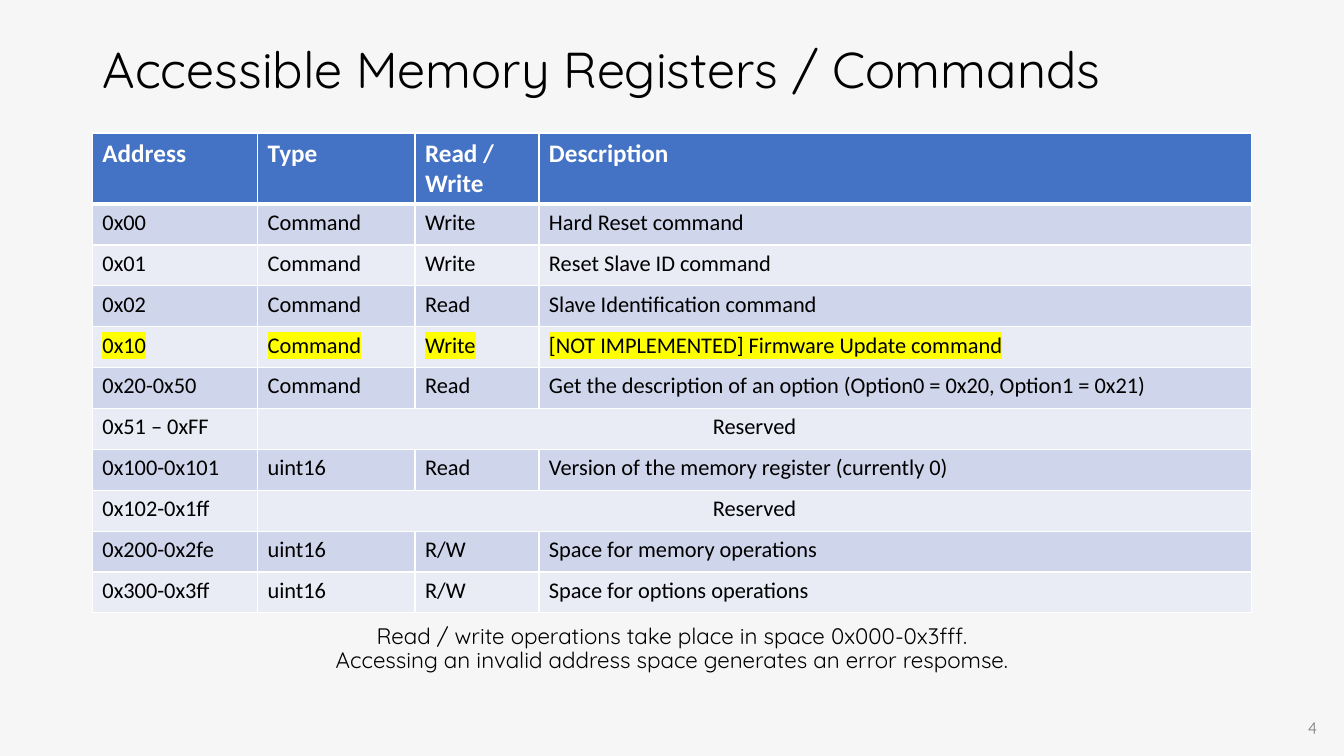
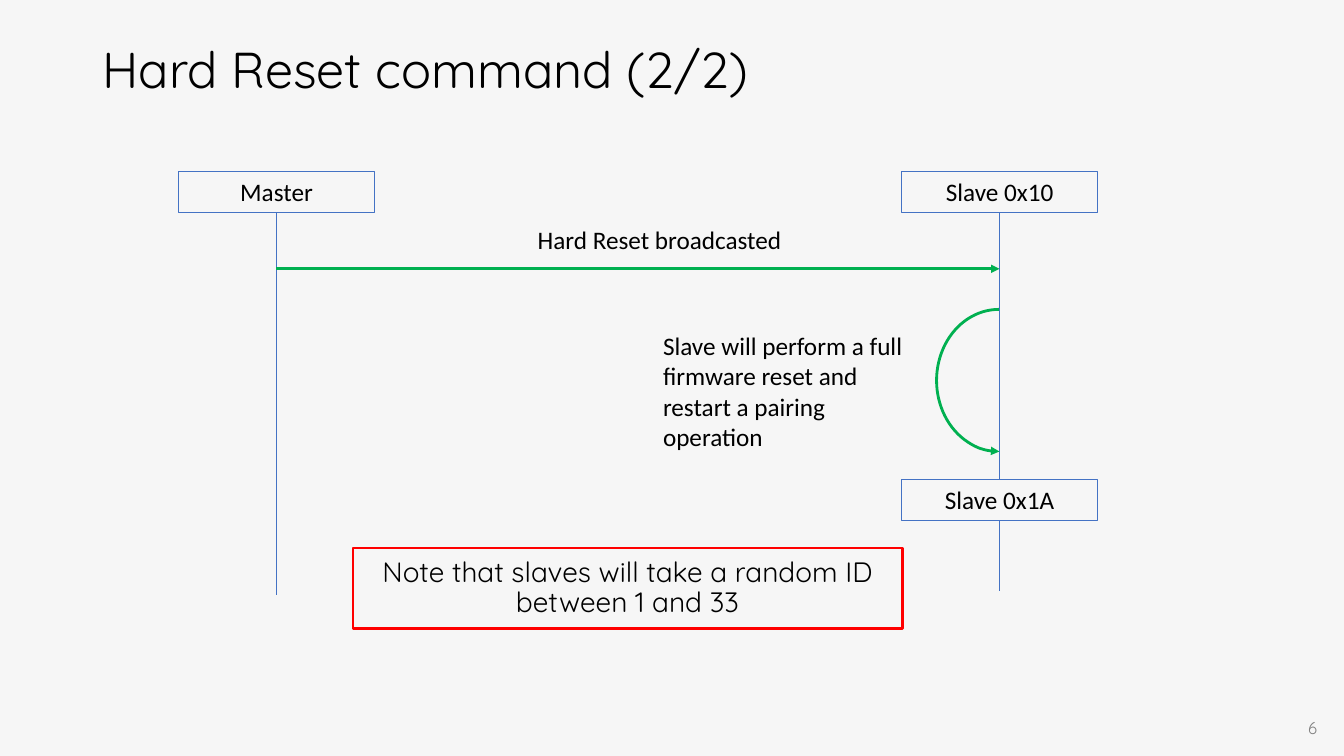
from typing import NamedTuple

from lxml import etree
from pptx import Presentation
from pptx.dml.color import RGBColor
from pptx.enum import shapes, text
from pptx.oxml import ns
from pptx.util import Pt

# Shared colours and fonts
PAPER, BLACK, WHITE, GREY = "F6F6F6", "000000", "FFFFFF", "808080"
BLUE, GREEN, RED, YELLOW = "4472C4", "00B050", "FF0000", "FFFF00"
BANDS = ("E9EBF5", "CFD5EA")
BODY, DISPLAY = "Calibri", "Quicksand"
LEFT, CENTER, RIGHT = text.PP_ALIGN.LEFT, text.PP_ALIGN.CENTER, text.PP_ALIGN.RIGHT
TOP, MIDDLE, BOTTOM = text.MSO_ANCHOR.TOP, text.MSO_ANCHOR.MIDDLE, text.MSO_ANCHOR.BOTTOM
MARGIN, CONTENT_W = 66, 828


class Box(NamedTuple):
    x: float
    y: float
    w: float
    h: float

    def pts(self):
        return [Pt(v) for v in self]


class Register(NamedTuple):
    address: str
    kind: str
    access: str = ""
    description: str = ""
    marked: bool = False


REGISTERS = [
    Register("0x00", "Command", "Write", "Hard Reset command"),
    Register("0x01", "Command", "Write", "Reset Slave ID command"),
    Register("0x02", "Command", "Read", "Slave Identification command"),
    Register("0x10", "Command", "Write", "[NOT IMPLEMENTED] Firmware Update command", True),
    Register("0x20-0x50", "Command", "Read",
             "Get the description of an option (Option0 = 0x20, Option1 = 0x21)"),
    Register("0x51 – 0xFF", "Reserved"),
    Register("0x100-0x101", "uint16", "Read", "Version of the memory register (currently 0)"),
    Register("0x102-0x1ff", "Reserved"),
    Register("0x200-0x2fe", "uint16", "R/W", "Space for memory operations"),
    Register("0x300-0x3ff", "uint16", "R/W", "Space for options operations"),
]


def rgb(color: str) -> RGBColor:
    return RGBColor.from_string(color)


def sub(parent, tag: str, **attrs):
    return etree.SubElement(parent, ns.qn(tag), attrs)


def write(tf, words: str, *, size=18, font=BODY, color=BLACK, bold=False, align=LEFT,
          anchor=TOP, spacing=None, wrap=True, mark=None):
    """Fill a text frame with one paragraph; a newline is a line break."""
    tf.word_wrap = wrap
    tf.vertical_anchor = anchor
    p = tf.paragraphs[0]
    p.alignment = align
    if spacing:
        p.line_spacing = spacing
    for i, line in enumerate(words.split("\n")):
        if i:
            p.add_line_break()
        r = p.add_run()
        r.text = line
        r.font.size, r.font.name, r.font.bold = Pt(size), font, bold
        r.font.color.rgb = rgb(color)
        if mark:
            highlight = etree.Element(ns.qn("a:highlight"))
            sub(highlight, "a:srgbClr", val=mark)
            r.font._element.find(ns.qn("a:solidFill")).addnext(highlight)


def add_text(s, box: Box, words: str, **fmt):
    write(s.shapes.add_textbox(*box.pts()).text_frame, words, **fmt)


def stroke(line, color: str, width: float, arrow=False):
    line.color.rgb = rgb(color)
    line.width = Pt(width)
    if arrow:
        sub(line._get_or_add_ln(), "a:tailEnd", type="triangle")


def add_outline(s, preset, box: Box, color: str, width: float, arrow=False):
    sp = s.shapes.add_shape(preset, *box.pts())
    sp.shadow.inherit = False
    sp.fill.background()
    stroke(sp.line, color, width, arrow)
    return sp


def add_line(s, x1, y1, x2, y2, color=BLUE, width=0.5, arrow=False):
    line = s.shapes.add_connector(shapes.MSO_CONNECTOR.STRAIGHT, Pt(x1), Pt(y1), Pt(x2), Pt(y2))
    stroke(line.line, color, width, arrow)
    sub(line._element.spPr, "a:effectLst")
    return line


def add_slide(prs, title: str, number: int):
    s = prs.slides.add_slide(prs.slide_layouts[5])
    sp = s.shapes.title
    sp.left, sp.top, sp.width, sp.height = Box(MARGIN, 28.8, CONTENT_W, 87.8).pts()
    write(sp.text_frame, title, size=36, font=DISPLAY, spacing=0.9)
    sp.text_frame.auto_size = text.MSO_AUTO_SIZE.NONE
    add_text(s, Box(732, 502, 216, 28.8), str(number), size=12, font=DISPLAY,
             color=GREY, align=RIGHT, anchor=BOTTOM)
    return s


def style_cell(cell, fill: str, top: float, bottom: float):
    cell.fill.solid()
    cell.fill.fore_color.rgb = rgb(fill)
    tc_pr = cell._tc.get_or_add_tcPr()
    widths = {"a:lnL": 1, "a:lnR": 1, "a:lnT": top, "a:lnB": bottom}
    for i, (tag, width) in enumerate(widths.items()):
        ln = etree.Element(ns.qn(tag), w=str(int(Pt(width))))
        sub(sub(ln, "a:solidFill"), "a:srgbClr", val=WHITE)
        tc_pr.insert(i, ln)


def registers_slide(prs):
    s = add_slide(prs, "Accessible Memory Registers / Commands", 4)

    # Register table
    header_h, row_h = 50.8, 29.2
    frame = s.shapes.add_table(len(REGISTERS) + 1, 4, *Box(
        MARGIN, 95, CONTENT_W, header_h + row_h * len(REGISTERS)).pts())
    table = frame.table
    for column, width in zip(table.columns, (118, 112.5, 88.5, 509)):
        column.width = Pt(width)
    for i, row in enumerate(table.rows):
        row.height = Pt(row_h if i else header_h)
        for cell in row.cells:
            style_cell(cell, BANDS[i % 2] if i else BLUE,
                       top=3 if i == 1 else 1, bottom=1 if i else 3)

    for j, words in enumerate(("Address", "Type", "Read / Write", "Description")):
        write(table.cell(0, j).text_frame, words, color=WHITE, bold=True)
    for i, reg in enumerate(REGISTERS, 1):
        reserved = not reg.access
        if reserved:
            table.cell(i, 1).merge(table.cell(i, 3))
        for j, words in enumerate(reg[:2] if reserved else reg[:4]):
            write(table.cell(i, j).text_frame, words, size=16,
                  align=CENTER if reserved and j else LEFT,
                  mark=YELLOW if reg.marked else None)

    # Remark below the table
    add_text(s, Box(MARGIN, 443, CONTENT_W, 60.5),
             "Read / write operations take place in space 0x000-0x3fff.\n"
             "Accessing an invalid address space generates an error respomse.",
             size=16, font=DISPLAY, align=CENTER, spacing=0.9)


def reset_slide(prs):
    s = add_slide(prs, "Hard Reset command (2/2)", 6)
    rect = shapes.MSO_SHAPE.RECTANGLE
    box_w, box_h = 140, 29
    master_x, slave_x = 197.5, 714
    top_y, restart_y, end_y = 122.5, 342.5, 425

    # Participants
    def participant(words: str, x: float, y: float):
        sp = add_outline(s, rect, Box(x - box_w / 2, y, box_w, box_h), BLUE, 0.75)
        write(sp.text_frame, words, align=CENTER)
        return sp

    master = participant("Master", master_x, top_y)
    slave = participant("Slave 0x10", slave_x, top_y)
    restarted = participant("Slave 0x1A", slave_x, restart_y)

    # Lifelines
    add_line(s, master_x, top_y + box_h, master_x, end_y).begin_connect(master, 2)
    life = add_line(s, slave_x, top_y + box_h, slave_x, restart_y)
    life.begin_connect(slave, 2)
    life.end_connect(restarted, 0)
    add_line(s, slave_x, restart_y + box_h, slave_x, 422).begin_connect(restarted, 2)

    # Broadcast message
    add_line(s, master_x, 192, slave_x, 192, GREEN, 2, arrow=True)
    add_text(s, Box(377, 157, 191, 29), "Hard Reset broadcasted", wrap=False)

    # Reset loop on the slave
    arc = add_outline(s, shapes.MSO_SHAPE.ARC, Box(669, 221, 89, 101.5), GREEN, 2, arrow=True)
    arc.adjustments[0], arc.adjustments[1] = 162, 54.26
    arc._element.spPr.xfrm.set("flipH", "1")
    add_text(s, Box(466.5, 232.5, 203, 94.5),
             "Slave will perform a full firmware reset and restart a pairing operation")

    # Note
    note = add_outline(s, rect, Box(252, 391.5, 392.5, 57.5), RED, 1.75)
    write(note.text_frame, "Note that slaves will take a random ID\nbetween 1 and 33",
          size=20, font=DISPLAY, align=CENTER, anchor=MIDDLE, spacing=0.9)


def main():
    prs = Presentation()
    prs.slide_width, prs.slide_height = Pt(960), Pt(540)
    fill = prs.slide_master.background.fill
    fill.solid()
    fill.fore_color.rgb = rgb(PAPER)
    registers_slide(prs)
    reset_slide(prs)
    prs.save("out.pptx")


if __name__ == "__main__":
    main()
